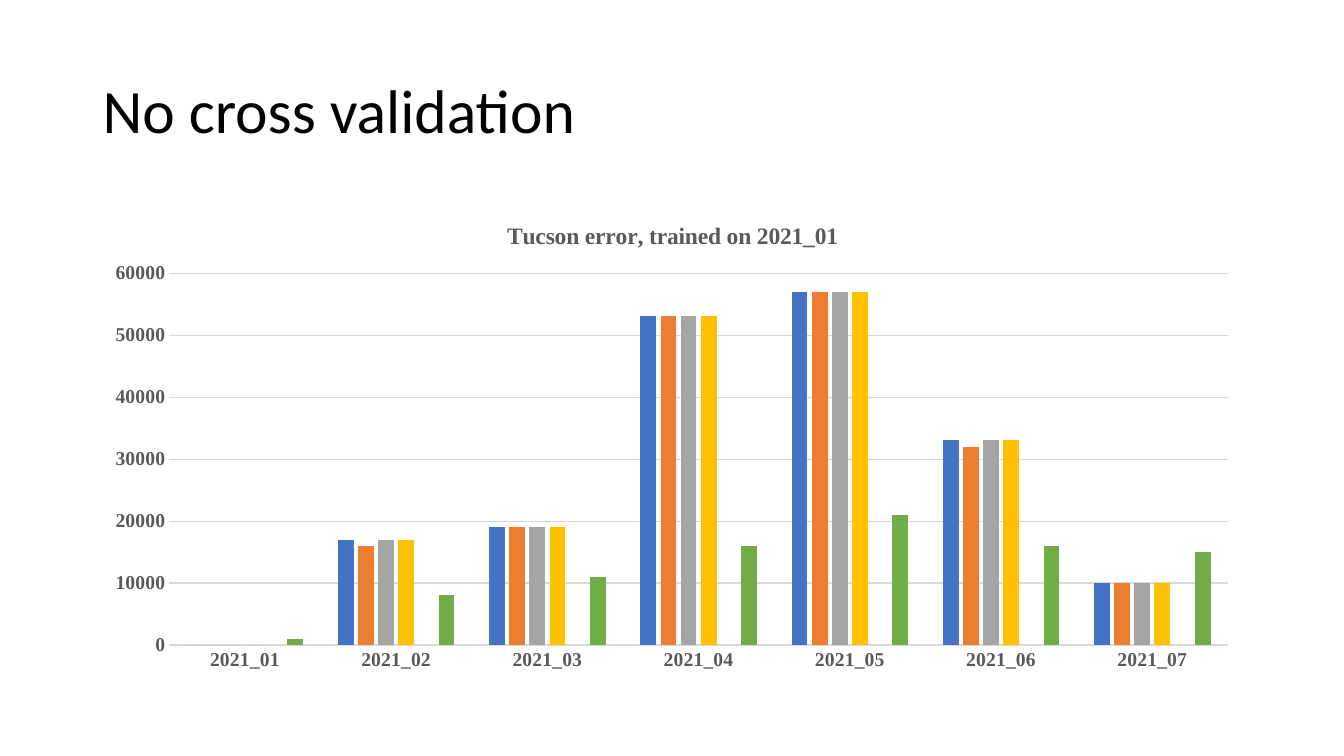
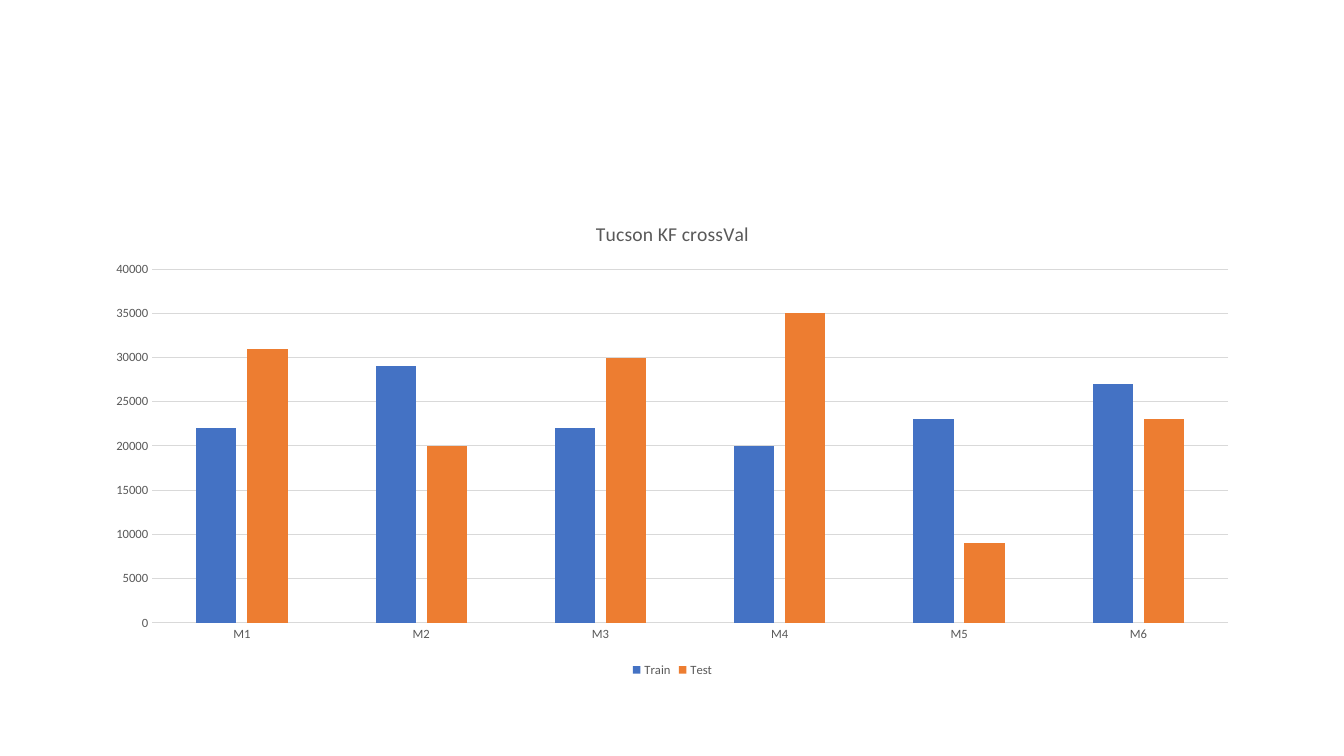
from lxml import etree
from pptx import Presentation
from pptx.chart.data import CategoryChartData
from pptx.dml.color import RGBColor
from pptx.enum.chart import XL_CHART_TYPE, XL_LEGEND_POSITION, XL_TICK_MARK
from pptx.enum.text import MSO_ANCHOR
from pptx.oxml.ns import qn
from pptx.util import Emu, Pt

COLUMNS = XL_CHART_TYPE.COLUMN_CLUSTERED
BOTTOM = XL_LEGEND_POSITION.BOTTOM
NO_TICK = XL_TICK_MARK.NONE
MIDDLE = MSO_ANCHOR.MIDDLE

EMU_PER_PX = 9144
BLANK_LAYOUT = 6
TITLE_AREA = (92, 40, 1150, 145)
CHART_AREA = (92, 200, 1150, 476)

COLORS = {
    "text": "000000",
    "label": "595959",
    "line": "D9D9D9",
    "blue": "4472C4",
    "orange": "ED7D31",
    "gray": "A5A5A5",
    "gold": "FFC000",
    "sky": "5B9BD5",
    "green": "70AD47",
}
SERIES_COLORS = ("blue", "orange", "gray", "gold", "sky", "green")

MONTHS = [f"2021_{month:02d}" for month in range(1, 8)]
MONTH_ERRORS = {
    "Series 1": (0, 17000, 19000, 53000, 57000, 33000, 10000),
    "Series 2": (0, 16000, 19000, 53000, 57000, 32000, 10000),
    "Series 3": (0, 17000, 19000, 53000, 57000, 33000, 10000),
    "Series 4": (0, 17000, 19000, 53000, 57000, 33000, 10000),
    "Series 5": (None,) * len(MONTHS),
    "Series 6": (1000, 8000, 11000, 16000, 21000, 16000, 15000),
}

MODELS = [f"M{number}" for number in range(1, 7)]
MODEL_ERRORS = {
    "Train": (22000, 29000, 22000, 20000, 23000, 27000),
    "Test": (31000, 20000, 30000, 35000, 9000, 23000),
}


def px(value):
    return Emu(value * EMU_PER_PX)


def color(name):
    return RGBColor.from_string(COLORS[name])


class Deck:
    def __init__(self):
        self.presentation = Presentation()
        self.presentation.slide_width = px(1333)
        self.presentation.slide_height = px(750)
        self.page = None

    def add_page(self):
        layout = self.presentation.slide_layouts[BLANK_LAYOUT]
        self.page = self.presentation.slides.add_slide(layout)

    def style_font(self, font, size, shade="label", name="Calibri", bold=False):
        font.size = Pt(size)
        font.name = name
        font.bold = bold
        font.color.rgb = color(shade)

    def add_title(self, text):
        box = self.page.shapes.add_textbox(*map(px, TITLE_AREA))
        frame = box.text_frame
        frame.word_wrap = True
        frame.vertical_anchor = MIDDLE
        para = frame.paragraphs[0]
        para.text = text
        para.line_spacing = 0.9
        self.style_font(para.font, 44, "text")

    def style_axis(self, axis, size, name, bold):
        axis.major_tick_mark = NO_TICK
        axis.minor_tick_mark = NO_TICK
        self.style_font(axis.tick_labels.font, size, name=name, bold=bold)

    def style_line(self, line):
        line.color.rgb = color("line")
        line.width = Pt(0.75)

    def place_plot(self, chart, area):
        left, top, width, height = area
        chart_left, chart_top, chart_width, chart_height = CHART_AREA
        settings = {
            "layoutTarget": "inner",
            "xMode": "edge",
            "yMode": "edge",
            "x": (left - chart_left) / chart_width,
            "y": (top - chart_top) / chart_height,
            "w": width / chart_width,
            "h": height / chart_height,
        }
        plot_area = chart.element.find(f"{qn('c:chart')}/{qn('c:plotArea')}")
        for layout in plot_area.findall(qn("c:layout")):
            plot_area.remove(layout)
        layout = etree.Element(qn("c:layout"))
        manual = etree.SubElement(layout, qn("c:manualLayout"))
        for tag, value in settings.items():
            etree.SubElement(manual, qn(f"c:{tag}")).set("val", str(value))
        plot_area.insert(0, layout)

    def add_column_chart(self, title, categories, series, plot_area, top, step,
                         label_size, title_size, name="Calibri", bold=False,
                         legend=False):
        data = CategoryChartData()
        data.categories = categories
        for label, values in series.items():
            data.add_series(label, values)
        frame = self.page.shapes.add_chart(COLUMNS, *map(px, CHART_AREA), data)
        chart = frame.chart
        self.style_font(chart.font, label_size, name=name, bold=bold)

        chart.has_title = True
        para = chart.chart_title.text_frame.paragraphs[0]
        para.text = title
        self.style_font(para.font, title_size, name=name, bold=bold)
        chart.chart_title.include_in_layout = False

        category_axis, value_axis = chart.category_axis, chart.value_axis
        for axis in (category_axis, value_axis):
            self.style_axis(axis, label_size, name, bold)
        self.style_line(category_axis.format.line)
        value_axis.format.line.fill.background()
        value_axis.minimum_scale = 0
        value_axis.maximum_scale = top
        value_axis.major_unit = step
        self.style_line(value_axis.major_gridlines.format.line)

        plot = chart.plots[0]
        plot.gap_width = 219
        plot.overlap = -27
        plot.vary_by_categories = False
        for columns, shade in zip(plot.series, SERIES_COLORS):
            columns.format.fill.solid()
            columns.format.fill.fore_color.rgb = color(shade)
        self.place_plot(chart, plot_area)

        chart.has_legend = legend
        if legend:
            chart.legend.position = BOTTOM
            chart.legend.include_in_layout = False
            self.style_font(chart.legend.font, label_size, name=name, bold=bold)


def main():
    deck = Deck()

    deck.add_page()
    deck.add_title("No cross validation")
    deck.add_column_chart(
        "Tucson error, trained on 2021_01", MONTHS, MONTH_ERRORS,
        plot_area=(168, 271, 1050, 369), top=60000, step=10000,
        label_size=14, title_size=16.8, name="Times New Roman", bold=True,
    )

    deck.add_page()
    deck.add_column_chart(
        "Tucson KF crossVal", MODELS, MODEL_ERRORS,
        plot_area=(151, 267, 1067, 351), top=40000, step=5000,
        label_size=9, title_size=14, legend=True,
    )

    deck.presentation.save("out.pptx")


if __name__ == "__main__":
    main()
